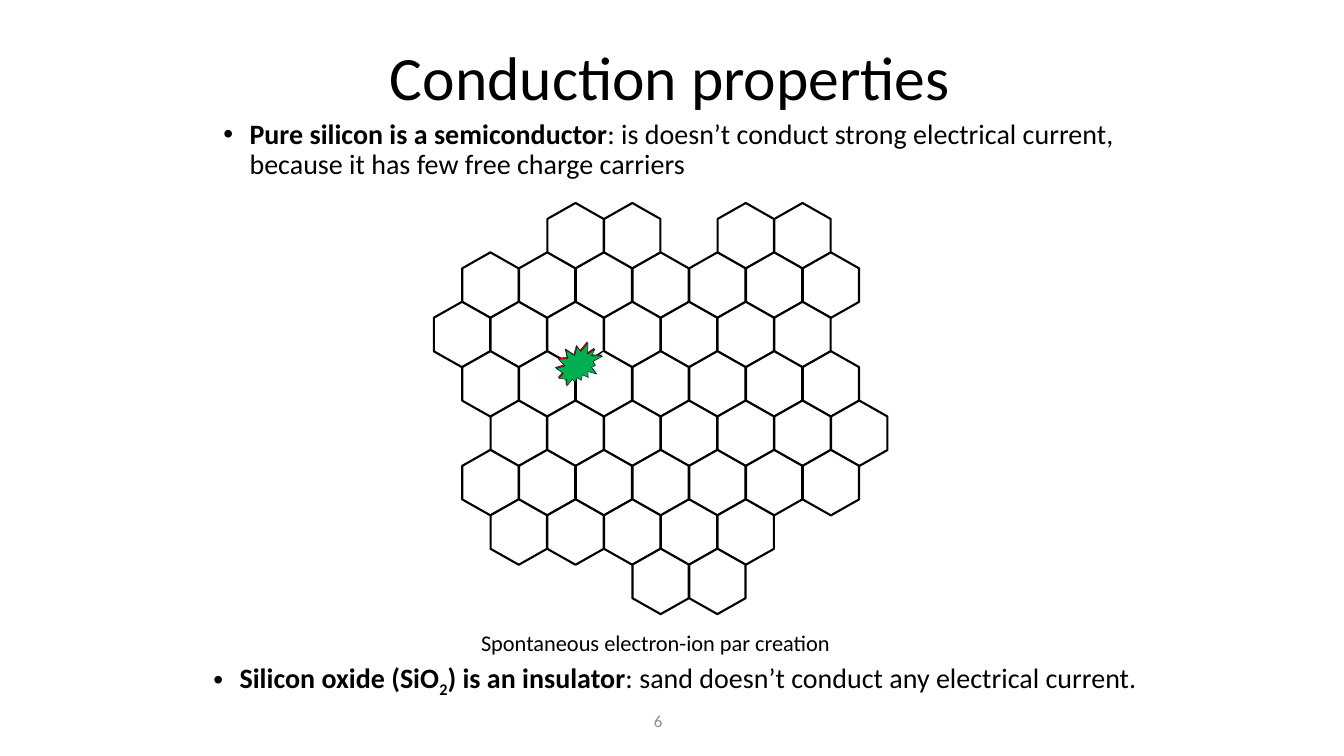
from dataclasses import dataclass

from lxml.etree import SubElement
from pptx import Presentation
from pptx.dml.color import RGBColor
from pptx.enum.shapes import MSO_CONNECTOR, MSO_SHAPE
from pptx.enum.text import MSO_ANCHOR, PP_ALIGN
from pptx.oxml.ns import qn
from pptx.util import Cm, Pt


@dataclass(frozen=True)
class Theme:
    font: str = "Calibri"
    black: str = "000000"
    white: str = "FFFFFF"
    grey: str = "8C8C8C"
    red: str = "FF0000"
    green: str = "00B050"
    title: int = 44
    body: int = 20
    label: int = 16
    small: int = 12


BOLD = {"bold": True}
PLAIN = {"bold": False}


class Painter:
    def __init__(self, slide, theme):
        self.slide = slide
        self.theme = theme

    def text(self, box, runs, size, color=None, inset=None, bullet=False,
             anchor=MSO_ANCHOR.TOP, **layout):
        """Add one paragraph; runs are (text, font values, baseline) tuples."""
        frame = self.slide.shapes.add_textbox(*map(Cm, box)).text_frame
        frame.word_wrap = True
        frame.vertical_anchor = anchor
        if inset is not None:
            for side in ("left", "right", "top", "bottom"):
                setattr(frame, f"margin_{side}", Cm(inset))
        para = frame.paragraphs[0]
        if bullet:
            props = para._p.get_or_add_pPr()
            props.set("marL", str(Cm(0.66)))
            props.set("indent", str(Cm(-0.66)))
            SubElement(props, qn("a:buFont")).set("typeface", "Arial")
            SubElement(props, qn("a:buChar")).set("char", "•")
        for name, value in layout.items():
            setattr(para, name, value)
        for words, values, base in runs:
            run = para.add_run()
            run.text = words
            values = {"name": self.theme.font, "size": Pt(size), **values}
            for name, value in values.items():
                setattr(run.font, name, value)
            run.font.color.rgb = RGBColor.from_string(color or self.theme.black)
            if base:
                run._r.get_or_add_rPr().set("baseline", str(base * 1000))

    def shape(self, kind, box, fill, line, width, turn=0):
        item = self.slide.shapes.add_shape(kind, *map(Cm, box))
        item.shadow.inherit = False
        item.rotation = turn
        item.fill.solid()
        item.fill.fore_color.rgb = RGBColor.from_string(fill)
        item.line.color.rgb = RGBColor.from_string(line)
        item.line.width = Pt(width)
        return item

    def line(self, ends, color, width):
        item = self.slide.shapes.add_connector(MSO_CONNECTOR.STRAIGHT, *map(Cm, ends))
        item.line.color.rgb = RGBColor.from_string(color)
        item.line.width = Pt(width)
        SubElement(item._element.spPr, qn("a:effectLst"))

    def lattice(self, rows, left, top, across, down):
        """Draw upright hexagons; each row lists its cells in half steps."""
        for row, cells in enumerate(rows):
            for half in cells:
                box = (left + half * across / 2, top + row * down, 1.65, 1.42)
                cell = self.shape(MSO_SHAPE.HEXAGON, box, self.theme.white,
                                  self.theme.black, 1.5, 270)
                cell.adjustments[0] = 0.283


def main():
    deck = Presentation()
    deck.slide_width, deck.slide_height = Cm(33.87), Cm(19.05)
    theme = Theme()
    paint = Painter(deck.slides.add_slide(deck.slide_layouts[6]), theme)

    paint.text((16.23, 17.65, 2.01, 1.02), [("6", {}, 0)], theme.small,
               theme.grey, anchor=MSO_ANCHOR.MIDDLE)
    paint.text((5.46, 0.81, 22.86, 2.46), [("Conduction properties", {}, 0)],
               theme.title, anchor=MSO_ANCHOR.MIDDLE,
               alignment=PP_ALIGN.CENTER, line_spacing=0.9)

    odd = range(1, 14, 2)
    rows = [(4, 6, 10, 12), odd, range(0, 13, 2), odd, range(2, 15, 2), odd,
            range(2, 11, 2), (7, 9)]
    paint.lattice(rows, left=10.82, top=5.23, across=1.43, down=8.71 / 7)
    paint.text((10.92, 15.72, 11.2, 0.94),
               [("Spontaneous electron-ion par creation", {}, 0)],
               theme.label, alignment=PP_ALIGN.CENTER)

    # Broken bond and the burst over it
    paint.shape(MSO_SHAPE.RECTANGLE, (14.66, 8.94, 0.58, 0.13),
                theme.white, theme.white, 0.25, 331.2)
    paint.line((15.21, 8.84, 14.99, 8.99), theme.black, 1)
    for left, top, fill in ((14, 8.61, theme.red), (14.02, 8.64, theme.green)):
        paint.shape(MSO_SHAPE.EXPLOSION2, (left, top, 1.17, 1.09),
                    fill, theme.black, 0.25)

    paint.text((5.38, 2.9, 23.52, 2.67), [
        ("Pure silicon is a semiconductor", BOLD, 0),
        (": is doesn’t conduct strong electrical current, because it has few "
         "free charge carriers", PLAIN, 0),
    ], theme.body, bullet=True, line_spacing=0.9)
    paint.text((5.38, 16.64, 23.52, 2.4), [
        ("Silicon oxide (SiO", BOLD, 0),
        ("2", BOLD, -25),
        (") is an insulator", BOLD, 0),
        (": sand doesn’t conduct any electrical current.", PLAIN, 0),
    ], theme.body, inset=0, bullet=True)

    deck.save("out.pptx")


if __name__ == "__main__":
    main()
